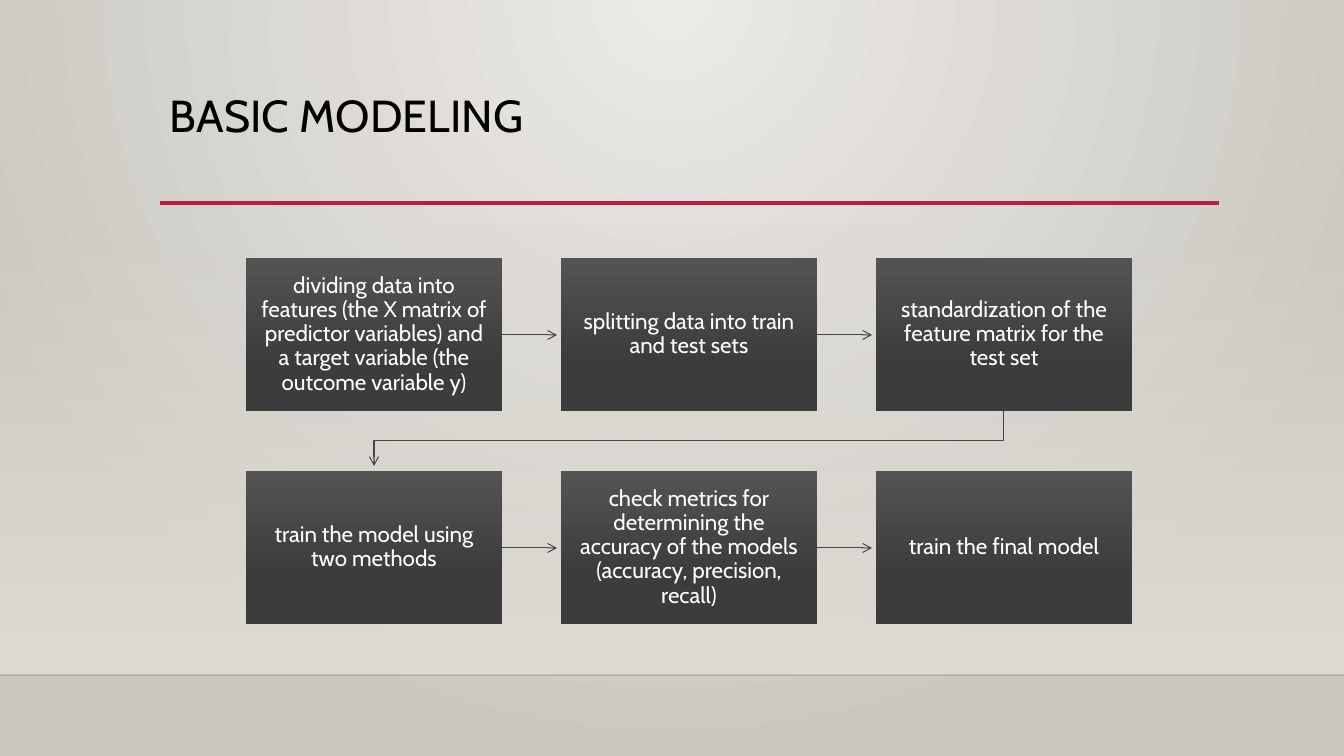
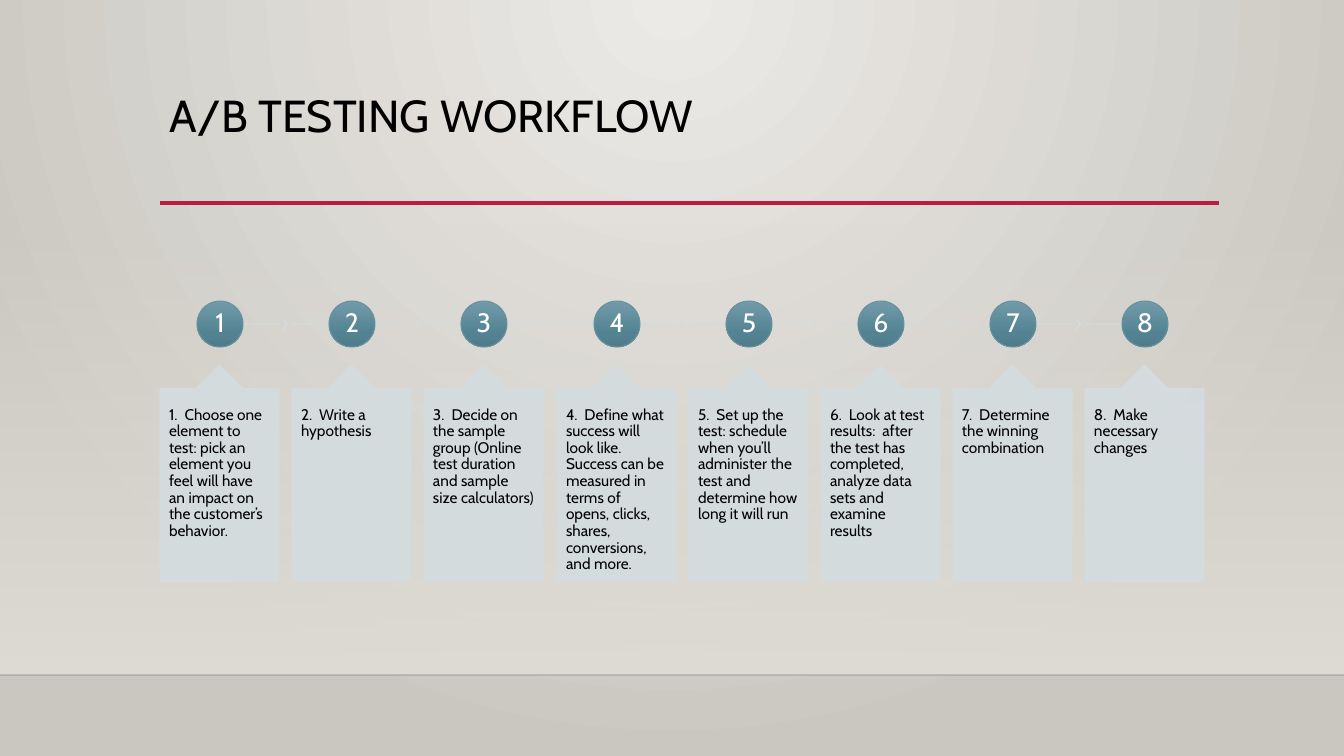
from dataclasses import dataclass
from typing import Optional, Sequence, Union

from lxml.etree import SubElement
from pptx import Presentation
from pptx.dml.color import RGBColor
from pptx.enum.shapes import MSO_CONNECTOR, MSO_SHAPE
from pptx.enum.text import MSO_ANCHOR, PP_ALIGN
from pptx.oxml.ns import qn
from pptx.shapes.autoshape import Shape
from pptx.shapes.connector import Connector
from pptx.slide import Slide
from pptx.util import Emu, Pt

PAGE_WIDTH, PAGE_HEIGHT = 1344, 756
EMU_PER_PIXEL = 12192000 / PAGE_WIDTH
FONT = "Cabin"
BLACK, WHITE = "000000", "FFFFFF"
ACCENT, FLOW_LINE, PALE = "B71E42", "454545", "D4DCDF"
PALE_OPACITY = 90


@dataclass(frozen=True)
class Stop:
    position: int
    color: str
    opacity: int = 100


@dataclass(frozen=True)
class Box:
    left: int
    top: int
    width: int
    height: int


Gradient = Sequence[Stop]
BACKDROP = (Stop(0, "ECEAE7"), Stop(100, "CAC7C1"))
WALL = (Stop(0, "DFDBD5", 0), Stop(100, "DFDBD5"))
CHARCOAL = (Stop(0, "535353"), Stop(69, "3C3C3C"), Stop(100, "393939"))
TEAL = (Stop(0, "729BA9"), Stop(69, "538393"), Stop(100, "4F7C8B"))

MODELING_STEPS = (
    "dividing data into features (the X matrix of predictor variables) and a target variable "
    "(the outcome variable y)",
    "splitting data into train and test sets",
    "standardization of the feature matrix for the test set",
    "train the model using two methods",
    "check metrics for determining the accuracy of the models (accuracy, precision, recall)",
    "train the final model",
)
TESTING_STEPS = (
    "1.  Choose one element to test: pick an element you feel will have an impact on the "
    "customer\u2019s behavior.\u00a0",
    "2.  Write a hypothesis",
    "3.  Decide on the sample group (Online test duration and sample size calculators)",
    "4.  Define what success will look like. Success can be measured in terms of opens, clicks, "
    "shares, conversions, and more.",
    "5.  Set up the test: schedule when you\u2019ll administer the test and determine how long "
    "it will run",
    "6.  Look at test results:  after the test has completed, analyze data sets and examine results",
    "7.  Determine the winning combination",
    "8.  Make necessary changes",
)


def px(length: float) -> Emu:
    return Emu(round(length * EMU_PER_PIXEL))


def rgb(color: str) -> RGBColor:
    return RGBColor.from_string(color)


def set_opacity(element, percent: int) -> None:
    for color in element.iter(qn("a:srgbClr")):
        SubElement(color, qn("a:alpha"), val=str(percent * 1000))


def write_gradient(element, stops: Gradient, radial: bool = False) -> None:
    gradient = element.find(".//" + qn("a:gradFill"))
    for child in list(gradient):
        gradient.remove(child)
    stop_list = SubElement(gradient, qn("a:gsLst"))
    for stop in stops:
        entry = SubElement(stop_list, qn("a:gs"), pos=str(stop.position * 1000))
        SubElement(entry, qn("a:srgbClr"), val=stop.color)
        if stop.opacity < 100:
            set_opacity(entry, stop.opacity)
    if radial:
        focus = SubElement(gradient, qn("a:path"), {"path": "circle"})
        SubElement(focus, qn("a:fillToRect"), l="43000", t="0", r="43000", b="100000")
    else:
        SubElement(gradient, qn("a:lin"), ang="5400000", scaled="0")


def set_line(shape: Union[Shape, Connector], color: str, width: float, arrow: bool = False) -> None:
    shape.line.color.rgb = rgb(color)
    shape.line.width = Pt(width)
    if arrow:
        SubElement(shape.element.spPr.find(qn("a:ln")), qn("a:tailEnd"), type="arrow")


def add_block(
    page: Slide,
    kind: MSO_SHAPE,
    box: Box,
    fill: Union[str, Gradient],
    line: Optional[str] = None,
    opacity: int = 100,
    adjustments: Sequence[float] = (),
) -> Shape:
    shape = page.shapes.add_shape(kind, px(box.left), px(box.top), px(box.width), px(box.height))
    shape.shadow.inherit = False
    for index, value in enumerate(adjustments):
        shape.adjustments[index] = value
    if isinstance(fill, str):
        shape.fill.solid()
        shape.fill.fore_color.rgb = rgb(fill)
    else:
        shape.fill.gradient()
        write_gradient(shape.element.spPr, fill)
    if line:
        set_line(shape, line, 0.75)
    else:
        shape.line.fill.background()
    if opacity < 100:
        set_opacity(shape.element.spPr, opacity)
    return shape


def add_line(
    page: Slide,
    start: tuple[int, int],
    end: tuple[int, int],
    color: str,
    width: float,
    arrow: bool = False,
    opacity: int = 100,
) -> None:
    line = page.shapes.add_connector(MSO_CONNECTOR.STRAIGHT, *map(px, start + end))
    set_line(line, color, width, arrow)
    if opacity < 100:
        set_opacity(line.element.spPr, opacity)
    SubElement(line.element.spPr, qn("a:effectLst"))


def write_text(
    shape: Shape,
    text: str,
    *,
    size: int,
    color: str = BLACK,
    align: PP_ALIGN = PP_ALIGN.LEFT,
    anchor: MSO_ANCHOR = MSO_ANCHOR.TOP,
    inset: tuple[int, int] = (10, 5),
) -> None:
    frame = shape.text_frame
    frame.word_wrap = True
    frame.vertical_anchor = anchor
    frame.margin_left = frame.margin_right = px(inset[0])
    frame.margin_top = frame.margin_bottom = px(inset[1])
    para = frame.paragraphs[0]
    para.alignment = align
    para.line_spacing = 0.9
    span = para.add_run()
    span.text = text
    span.font.name = FONT
    span.font.size = Pt(size)
    span.font.color.rgb = rgb(color)


def add_page(deck: Presentation, title: str) -> Slide:
    page = deck.slides.add_slide(deck.slide_layouts[6])
    page.background.fill.gradient()
    write_gradient(page.element, BACKDROP, radial=True)
    add_block(page, MSO_SHAPE.RECTANGLE, Box(0, 223, PAGE_WIDTH, 452), WALL)
    add_line(page, (0, 675), (PAGE_WIDTH, 675), "000001", 1, opacity=20)
    add_line(page, (160, 203), (1219, 203), ACCENT, 2.5)
    heading = page.shapes.add_textbox(px(160), px(89), px(1058), px(116))
    write_text(heading, title, size=32)
    return page


def add_modeling_flow(page: Slide) -> None:
    columns, width, height, arrow_length = 3, 256, 153, 55
    left, top, across, down = 246, 258, 315, 213
    for index, step in enumerate(MODELING_STEPS):
        row, column = divmod(index, columns)
        box = Box(left + column * across, top + row * down, width, height)
        block = add_block(page, MSO_SHAPE.RECTANGLE, box, CHARCOAL)
        write_text(block, step, size=16, color=WHITE, align=PP_ALIGN.CENTER,
                   anchor=MSO_ANCHOR.MIDDLE, inset=(12, 13))
        if column < columns - 1:
            right, middle = box.left + width, box.top + height // 2 + 1
            add_line(page, (right, middle), (right + arrow_length, middle),
                     FLOW_LINE, 0.75, arrow=True)
    first_center = left + width // 2
    last_center = first_center + (columns - 1) * across
    bottom = top + height
    turn = bottom + (down - height) // 2
    outline = page.shapes.build_freeform(px(last_center), px(bottom))
    corners = ((last_center, turn), (first_center, turn), (first_center, bottom + arrow_length))
    outline.add_line_segments([(px(x), px(y)) for x, y in corners], close=False)
    row_link = outline.convert_to_shape()
    row_link.shadow.inherit = False
    row_link.fill.background()
    set_line(row_link, FLOW_LINE, 0.75, arrow=True)


def add_testing_timeline(page: Slide) -> None:
    first_left, pitch, width, badge_size, axis = 160, 132.2, 119, 46, 324
    last = len(TESTING_STEPS) - 1
    for index, step in enumerate(TESTING_STEPS):
        left = round(first_left + index * pitch)
        center = left + width // 2 + 1
        start = center + 7 if index == 0 else left
        end = center if index == last else left + width
        add_line(page, (start, axis), (end, axis), PALE, 0.75, opacity=PALE_OPACITY)
        if index < last:
            add_block(page, MSO_SHAPE.CHEVRON, Box(left + 122, axis - 5, 6, 11), PALE,
                      line=PALE, opacity=PALE_OPACITY, adjustments=(0.9,))
        badge = add_block(page, MSO_SHAPE.OVAL,
                          Box(center - badge_size // 2, 301, badge_size, badge_size),
                          TEAL, line="6892A0")
        write_text(badge, str(index + 1), size=19, color=WHITE, align=PP_ALIGN.CENTER,
                   anchor=MSO_ANCHOR.MIDDLE, inset=(2, 2))
        card = add_block(page, MSO_SHAPE.UP_ARROW_CALLOUT, Box(left, 365, width, 217), PALE,
                         line=PALE, opacity=PALE_OPACITY, adjustments=(0.5, 0.2, 0.2, 1))
        write_text(card, step, size=11, inset=(9, 18))


def main() -> None:
    deck = Presentation()
    deck.slide_width, deck.slide_height = px(PAGE_WIDTH), px(PAGE_HEIGHT)
    add_modeling_flow(add_page(deck, "BASIC MODELING"))
    add_testing_timeline(add_page(deck, "A/B TESTING WORKFLOW"))
    deck.save("out.pptx")


main()
